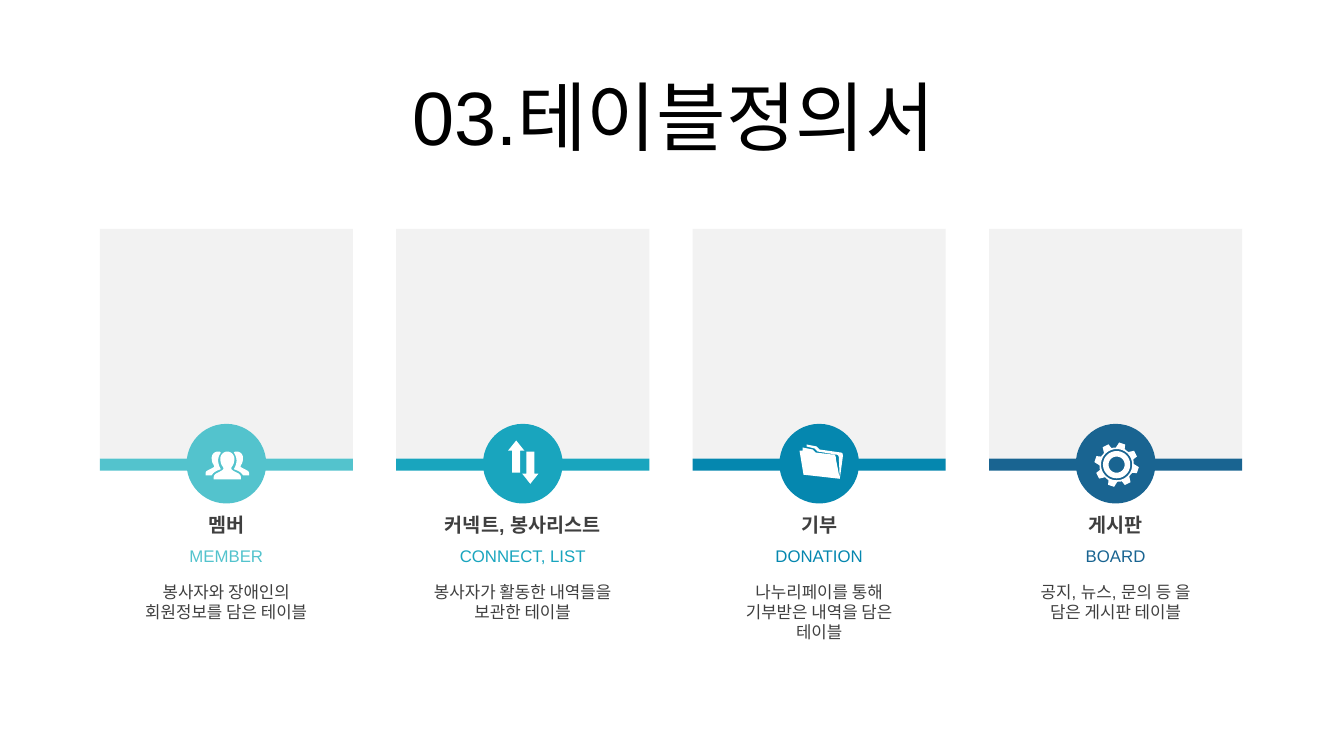
from math import cos, pi, sin

from pptx import Presentation
from pptx.dml.color import RGBColor
from pptx.enum.shapes import MSO_SHAPE
from pptx.enum.text import MSO_ANCHOR, PP_ALIGN
from pptx.util import Inches, Pt

WHITE, PANEL, INK, BLACK = "FFFFFF", "F2F2F2", "3F3F3F", "000000"
FIRST_LEFT, PITCH, CARD_WIDTH = 0.99, 2.94, 2.51
DISC_SIZE, DISC_MIDDLE = 0.79, 4.6
CAPTION_WIDTH = 1.97


def rgb(hex_color):
    """Turn a hex string into a colour."""
    return RGBColor.from_string(hex_color)


def outline(start, *segments):
    """Flatten lines (x, y) and cubic curves (six numbers) into points."""
    points = [start]
    for segment in segments:
        if len(segment) == 2:
            points.append(segment)
            continue
        x0, y0 = points[-1]
        x1, y1, x2, y2, x3, y3 = segment
        for step in range(1, 9):
            t = step / 8
            u = 1 - t
            weights = u ** 3, 3 * u * u * t, 3 * u * t * t, t ** 3
            points.append((
                sum(w * x for w, x in zip(weights, (x0, x1, x2, x3))),
                sum(w * y for w, y in zip(weights, (y0, y1, y2, y3))),
            ))
    return points


def shifted(points, dx, dy):
    """Move points by an offset."""
    return [(x + dx, y + dy) for x, y in points]


def mirrored(points):
    """Reflect points across the vertical axis."""
    return [(-x, y) for x, y in points]


def turned(points, angle):
    """Rotate points about the origin."""
    return [(x * cos(angle) - y * sin(angle), x * sin(angle) + y * cos(angle))
            for x, y in points]


def people_icon():
    """Return one person in front of two mirrored ones."""
    half = outline(
        (0, -12), (4.5, -12, 7, -8, 7, -5), (7, -1, 5.5, 2, 4.5, 3),
        (4, 4, 3.5, 5, 4.5, 6), (7, 8, 10, 9, 11.5, 10),
        (14, 12, 13.5, 14, 13.5, 15.5))
    behind = outline(
        (9.5, -12), (13, -12, 15.5, -9, 15.5, -6), (15.5, -2, 14.5, 0, 14, 0.5),
        (13.5, 1.5, 12.5, 3, 13.5, 3.5), (16, 5, 18.5, 6, 20, 7),
        (22, 8, 21.5, 9.5, 21.5, 11.5), (15.5, 11.5),
        (13.5, 8, 10.5, 7, 6.5, 5.5), (9.5, 0, 10.5, -5, 6.5, -11),
        (7.5, -12, 7.5, -12, 9.5, -12))
    front = half + mirrored(half)[::-1]
    return [shifted(part, 1, 0) for part in (front, behind, mirrored(behind))]


def arrows_icon():
    """Return an up arrow and a down arrow."""
    up = [(0, -23), (8, -13), (4, -13), (4, 9), (-4, 9), (-4, -13), (-8, -13)]
    return [shifted(up, -6.5, 0), shifted(turned(up, pi), 7.5, -3)]


def folder_icon():
    """Return the front and the back of a folder."""
    front = outline(
        (-16.5, -16), (-6.5, -14), (-3.5, -11), (13.5, -9),
        (16.5, -9, 16.5, -7, 16.5, -5), (20.5, 15), (-15.5, 11),
        (-19.5, -13), (-16.5, -13))
    back = outline(
        (-12.5, -19), (-2.5, -17), (0.5, -14), (21.5, -11),
        (23.5, -11, 23.5, -9, 23.5, -7), (20.5, 15), (19.5, -6),
        (19.5, -8, 18.5, -9, 16.5, -9), (-1.5, -12), (-4.5, -15), (-12.5, -17))
    return [front, back]


def gear_icon():
    """Return an eight-toothed gear with a ring inside."""
    tooth = [(2.5, -22), (8.5, -20), (8, -15.5), (11.5, -12.5)]
    rim = [point for n in range(8) for point in turned(tooth, n * pi / 4)]
    circles = [[(radius * cos(n * pi / 24), radius * sin(n * pi / 24))
                for n in range(48)] for radius in (15.5, 13.5, 8)]
    return [shifted(part, 1, 1) for part in [rim, *circles]]


class SlideBuilder:
    """Hold the style and the current slide."""

    def __init__(self, slide, font="Arial"):
        """Keep the slide and its font."""
        self.shapes = slide.shapes
        self.font = font

    def paint(self, shape, color):
        """Give a shape a plain fill."""
        shape.shadow.inherit = False
        shape.fill.solid()
        shape.fill.fore_color.rgb = rgb(color)
        shape.line.fill.background()

    def block(self, kind, left, top, width, height, color):
        """Add a filled preset shape."""
        shape = self.shapes.add_shape(
            kind, Inches(left), Inches(top), Inches(width), Inches(height))
        self.paint(shape, color)

    def icon(self, contours, center_x, center_y, color):
        """Add an outline drawn in hundredths of an inch about a centre."""
        placed = [[(Inches(center_x + x / 100), Inches(center_y + y / 100))
                   for x, y in contour] for contour in contours]
        builder = self.shapes.build_freeform(*placed[0][0], scale=1.0)
        builder.add_line_segments(placed[0][1:], close=True)
        for contour in placed[1:]:
            builder.move_to(*contour[0])
            builder.add_line_segments(contour[1:], close=True)
        self.paint(builder.convert_to_shape(), color)

    def text(self, content, left, top, width, height, size, color,
             bold=False, anchor=MSO_ANCHOR.MIDDLE, spacing=1.0):
        """Add a centred text box."""
        frame = self.shapes.add_textbox(
            Inches(left), Inches(top), Inches(width), Inches(height)).text_frame
        frame.word_wrap = True
        frame.vertical_anchor = anchor
        frame.text = content
        paragraph = frame.paragraphs[0]
        paragraph.alignment = PP_ALIGN.CENTER
        paragraph.line_spacing = spacing
        font = paragraph.runs[0].font
        font.name, font.size, font.bold = self.font, Pt(size), bold
        font.color.rgb = rgb(color)

    def card(self, left, color, heading, label, description, contours):
        """Add one table card with its panel, icon and captions."""
        center = left + CARD_WIDTH / 2
        caption_left = center - CAPTION_WIDTH / 2
        self.block(MSO_SHAPE.RECTANGLE, left, 2.27, CARD_WIDTH, 2.28, PANEL)
        self.block(MSO_SHAPE.RECTANGLE, left, 4.55, CARD_WIDTH, 0.12, color)
        self.block(MSO_SHAPE.OVAL, center - DISC_SIZE / 2,
                   DISC_MIDDLE - DISC_SIZE / 2, DISC_SIZE, DISC_SIZE, color)
        self.icon(contours, center, DISC_MIDDLE, WHITE)
        self.text(heading, caption_left, 5.08, CAPTION_WIDTH, 0.25, 14, INK, bold=True)
        self.text(label, caption_left, 5.39, CAPTION_WIDTH, 0.25, 12, color)
        self.text(description, caption_left, 5.72, CAPTION_WIDTH, 0.5, 12, INK,
                  anchor=MSO_ANCHOR.TOP)


def main():
    """Build the slide and save it."""
    deck = Presentation()
    deck.slide_width, deck.slide_height = Inches(13.33), Inches(7.5)
    builder = SlideBuilder(deck.slides.add_slide(deck.slide_layouts[6]))
    builder.text("03.테이블정의서", 0.35, 0.81, 12.66, 0.79, 54, BLACK, spacing=0.9)
    cards = [
        ("53C3CD", "멤버", "MEMBER", "봉사자와 장애인의 회원정보를 담은 테이블", people_icon()),
        ("19A5BE", "커넥트, 봉사리스트", "CONNECT, LIST",
         "봉사자가 활동한 내역들을 보관한 테이블", arrows_icon()),
        ("0587AF", "기부", "DONATION", "나누리페이를 통해 기부받은 내역을 담은 테이블", folder_icon()),
        ("196491", "게시판", "BOARD", "공지, 뉴스, 문의 등 을 담은 게시판 테이블", gear_icon()),
    ]
    for position, card in enumerate(cards):
        builder.card(FIRST_LEFT + position * PITCH, *card)
    deck.save("out.pptx")


if __name__ == "__main__":
    main()
